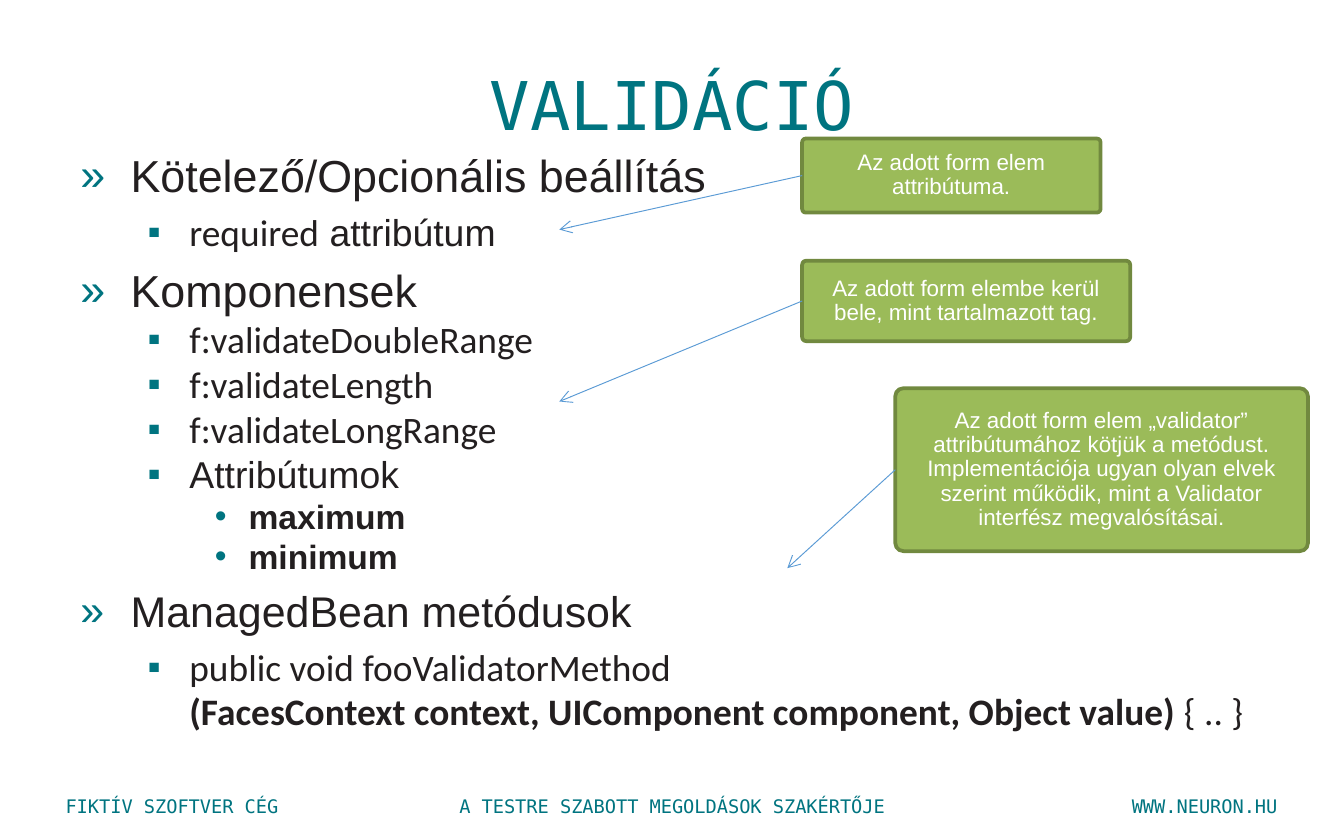
from copy import deepcopy
from dataclasses import dataclass

from lxml.etree import SubElement
from pptx import Presentation
from pptx.dml.color import RGBColor
from pptx.enum.shapes import MSO_CONNECTOR as Connector, MSO_SHAPE as Preset
from pptx.enum.text import MSO_ANCHOR as Anchor, PP_ALIGN as Align
from pptx.oxml.ns import qn
from pptx.util import Cm, Pt


@dataclass(frozen=True)
class Theme:
    teal: str = "007480"
    ink: str = "231F20"
    white: str = "FFFFFF"
    green: str = "9BBB59"
    border: str = "71893F"
    arrow: str = "5B9BD5"
    mono: str = "DejaVu Sans Mono"
    sans: str = "Arial"
    code: str = "Calibri"
    title_size: int = 36
    callout_size: int = 12
    footer_size: int = 10


THEME = Theme()


@dataclass(frozen=True)
class Span:
    text: str
    font: str = THEME.sans
    bold: bool = False


@dataclass(frozen=True)
class Level:
    bullet: str
    margin: float
    hanging: float


@dataclass(frozen=True)
class Item:
    level: int
    size: int
    spans: tuple[Span, ...]
    spaced: bool = False


@dataclass(frozen=True)
class Callout:
    box: tuple[float, float, float, float]
    target: tuple[float, float]
    text: str


@dataclass(frozen=True)
class Footer:
    left: float
    width: float
    align: Align
    text: str


LEVELS = (Level("»", 0.95, 0.95), Level("▪", 2.06, 0.79), Level("•", 3.18, 0.64))
ITEMS = (
    Item(0, 24, (Span("Kötelező/Opcionális beállítás"),)),
    Item(1, 20, (Span("required", THEME.code), Span(" attribútum")), True),
    Item(0, 24, (Span("Komponensek"),), True),
    Item(1, 20, (Span("f:validateDoubleRange", THEME.code),)),
    Item(1, 20, (Span("f:validateLength", THEME.code),)),
    Item(1, 20, (Span("f:validateLongRange", THEME.code),)),
    Item(1, 20, (Span("Attribútumok"),)),
    Item(2, 18, (Span("maximum", bold=True),)),
    Item(2, 18, (Span("minimum", bold=True),)),
    Item(0, 23, (Span("ManagedBean metódusok"),), True),
    Item(1, 20, (
        Span("public void fooValidatorMethod\n", THEME.code),
        Span("(FacesContext context, UIComponent component, Object value)", THEME.code, True),
        Span(" { .. }", THEME.code),
    ), True),
)
CALLOUTS = (
    Callout((15.16, 2.62, 5.64, 1.4), (10.57, 4.34), "Az adott form elem attribútuma."),
    Callout((15.16, 4.93, 6.2, 1.52), (10.57, 7.59),
            "Az adott form elembe kerül bele, mint tartalmazott tag."),
    Callout((16.92, 7.34, 7.8, 3.08), (14.88, 10.74),
            "Az adott form elem „validator” attribútumához kötjük a metódust.\n"
            "Implementációja ugyan olyan elvek szerint működik, "
            "mint a Validator interfész megvalósításai."),
)
FOOTERS = (
    Footer(0.99, 6, Align.LEFT, "FIKTÍV SZOFTVER CÉG"),
    Footer(18.39, 6, Align.RIGHT, "WWW.NEURON.HU"),
    Footer(7.9, 9.6, Align.CENTER, "A TESTRE SZABOTT MEGOLDÁSOK SZAKÉRTŐJE"),
)


def apply_format(target, values: dict) -> None:
    for name, value in values.items():
        setattr(target, name, value)


def add_span(paragraph, span: Span, size: int, color: str) -> None:
    for index, text in enumerate(span.text.split("\n")):
        if index:
            paragraph.add_line_break()
            paragraph._p[-1].append(deepcopy(run._r.rPr))
        if text:
            run = paragraph.add_run()
            run.text = text
            apply_format(run.font, {"name": span.font, "size": Pt(size), "bold": span.bold})
            run.font.color.rgb = RGBColor.from_string(color)


def add_bullet(paragraph, level: Level) -> None:
    properties = paragraph._p.get_or_add_pPr()
    properties.set("marL", str(Cm(level.margin)))
    properties.set("indent", str(-Cm(level.hanging)))
    color = SubElement(properties, qn("a:buClr"))
    SubElement(color, qn("a:srgbClr"), val=THEME.teal)
    SubElement(properties, qn("a:buFont"), typeface=THEME.sans)
    SubElement(properties, qn("a:buChar"), char=level.bullet)


def add_title(slide, text: str) -> None:
    title = slide.shapes.title
    apply_format(title, {"left": Cm(1.27), "top": Cm(0.64),
                         "width": Cm(22.86), "height": Cm(2.64)})
    title.text_frame.vertical_anchor = Anchor.MIDDLE
    paragraph = title.text_frame.paragraphs[0]
    paragraph.alignment = Align.CENTER
    add_span(paragraph, Span(text, THEME.mono), THEME.title_size, THEME.teal)


def add_outline(slide, items: tuple[Item, ...]) -> None:
    frame = slide.shapes.add_textbox(Cm(1.27), Cm(2.67), Cm(22.86), Cm(10.57)).text_frame
    frame.word_wrap = True
    for index, item in enumerate(items):
        paragraph = frame.add_paragraph() if index else frame.paragraphs[0]
        paragraph.level = item.level
        add_bullet(paragraph, LEVELS[item.level])
        paragraph.space_before = Pt(0.2 * item.size if item.spaced else 0)
        for span in item.spans:
            add_span(paragraph, span, item.size, THEME.ink)


def add_callout(slide, callout: Callout) -> None:
    shape = slide.shapes.add_shape(Preset.ROUNDED_RECTANGLE, *map(Cm, callout.box))
    shape.adjustments[0] = 0.05
    shape.shadow.inherit = False
    shape.fill.solid()
    shape.fill.fore_color.rgb = RGBColor.from_string(THEME.green)
    shape.line.color.rgb = RGBColor.from_string(THEME.border)
    shape.line.width = Pt(2)
    inset = Cm(0.48)
    apply_format(shape.text_frame, {
        "word_wrap": True, "vertical_anchor": Anchor.MIDDLE,
        "margin_left": inset, "margin_right": inset,
        "margin_top": inset, "margin_bottom": inset,
    })
    paragraph = shape.text_frame.paragraphs[0]
    apply_format(paragraph, {"alignment": Align.CENTER, "line_spacing": 0.9})
    add_span(paragraph, Span(callout.text), THEME.callout_size, THEME.white)
    add_arrow(slide, shape, callout.target)


def add_arrow(slide, shape, target: tuple[float, float]) -> None:
    end_x, end_y = map(Cm, target)
    arrow = slide.shapes.add_connector(Connector.STRAIGHT, shape.left, shape.top, end_x, end_y)
    arrow.begin_connect(shape, 1)
    arrow.line.color.rgb = RGBColor.from_string(THEME.arrow)
    arrow.line.width = Pt(0.5)
    SubElement(arrow.line._get_or_add_ln(), qn("a:tailEnd"), type="arrow")
    SubElement(arrow._element.spPr, qn("a:effectLst"))


def add_footer(slide, footer: Footer) -> None:
    box = slide.shapes.add_textbox(Cm(footer.left), Cm(14.91), Cm(footer.width), Cm(0.69))
    box.text_frame.word_wrap = True
    paragraph = box.text_frame.paragraphs[0]
    paragraph.alignment = footer.align
    add_span(paragraph, Span(footer.text, THEME.mono), THEME.footer_size, THEME.teal)


def main() -> None:
    presentation = Presentation()
    apply_format(presentation, {"slide_width": Cm(25.4), "slide_height": Cm(15.88)})
    slide = presentation.slides.add_slide(presentation.slide_layouts[5])
    for footer in FOOTERS:
        add_footer(slide, footer)
    add_title(slide, "VALIDÁCIÓ")
    add_outline(slide, ITEMS)
    for callout in CALLOUTS:
        add_callout(slide, callout)
    presentation.save("out.pptx")


if __name__ == "__main__":
    main()
